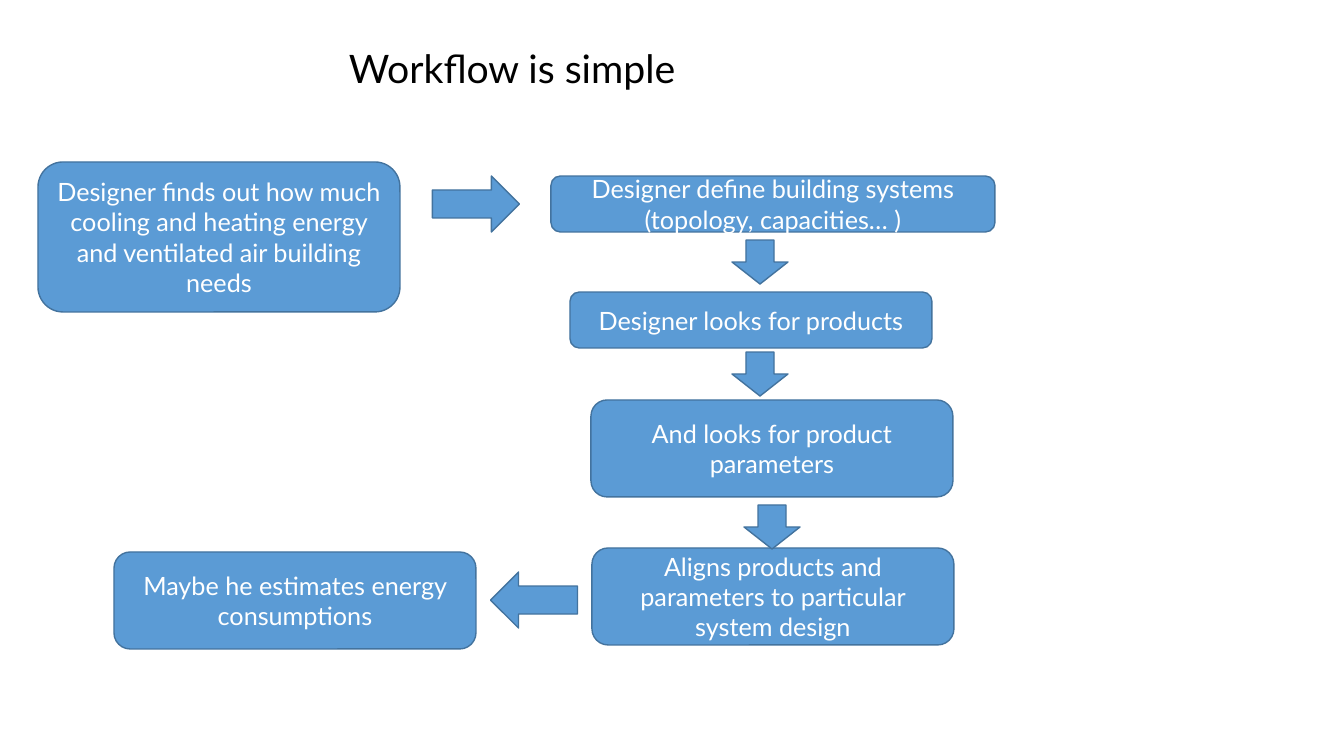
from pptx import Presentation
from pptx.dml.color import RGBColor
from pptx.enum.shapes import MSO_SHAPE
from pptx.enum.text import MSO_ANCHOR, MSO_AUTO_SIZE, PP_ALIGN
from pptx.util import Pt

ROUNDED, ARROW = MSO_SHAPE.ROUNDED_RECTANGLE, MSO_SHAPE.RIGHT_ARROW
MIDDLE, CENTER, LEFT = MSO_ANCHOR.MIDDLE, PP_ALIGN.CENTER, PP_ALIGN.LEFT
GROW = MSO_AUTO_SIZE.SHAPE_TO_FIT_TEXT

# Content: lengths in px
SLIDE_SIZE = (1344, 756)
TITLE = ("Workflow is simple", (339, 39, 377, 57))
STEP_WIDTH = 362
STEPS = [  # text, left, top, width, height
    ("Designer finds out how much cooling and heating energy and ventilated air building needs",
     38, 162, STEP_WIDTH, 150),
    ("Designer define building systems (topology, capacities… )", 551, 176, 444, 56),
    ("Designer looks for products", 570, 292, STEP_WIDTH, 56),
    ("And looks for product parameters", 591, 400, STEP_WIDTH, 97),
    ("Aligns products and parameters to particular system design", 592, 548, STEP_WIDTH, 97),
    ("Maybe he estimates energy consumptions", 114, 552, STEP_WIDTH, 97),
]
LONG, SHORT, ARROW_HEIGHT = 87, 44, 56
ARROWS = [  # center x, center y, length, rotation
    (476, 204, LONG, 0),
    (760, 262, SHORT, 90),
    (760, 374, SHORT, 90),
    (772, 527, SHORT, 90),
    (534, 600, LONG, 180),
]
FILL, OUTLINE, WHITE, BLACK = "5B9BD5", "43739E", "FFFFFF", "000000"
TITLE_FONT = {"name": "Lato", "size": Pt(28)}
STEP_FONT = {"name": "Lato", "size": Pt(18)}


def emu(px):
    return round(px * 914400 / 100.8)


def color(hex_string):
    return RGBColor.from_string(hex_string)


def write(shape, text, font_format, font_color, alignment):
    paragraph = shape.text_frame.paragraphs[0]
    paragraph.text = text
    paragraph.alignment = alignment
    for name, value in font_format.items():
        setattr(paragraph.font, name, value)
    paragraph.font.color.rgb = color(font_color)


def add_block(slide, preset, *box):
    shape = slide.shapes.add_shape(preset, *map(emu, box))
    shape.shadow.inherit = False
    shape.fill.solid()
    shape.fill.fore_color.rgb = color(FILL)
    shape.line.color.rgb = color(OUTLINE)
    shape.line.width = Pt(1)
    return shape


def main():
    presentation = Presentation()
    presentation.slide_width, presentation.slide_height = map(emu, SLIDE_SIZE)
    slide = presentation.slides.add_slide(presentation.slide_layouts[6])

    # Title
    text, box = TITLE
    title = slide.shapes.add_textbox(*map(emu, box))
    title.text_frame.word_wrap = False
    title.text_frame.auto_size = GROW
    write(title, text, TITLE_FONT, BLACK, LEFT)

    # Workflow steps
    for text, *box in STEPS:
        step = add_block(slide, ROUNDED, *box)
        step.text_frame.word_wrap = True
        step.text_frame.vertical_anchor = MIDDLE
        write(step, text, STEP_FONT, WHITE, CENTER)

    # Arrows between the steps
    for center_x, center_y, length, rotation in ARROWS:
        arrow = add_block(slide, ARROW, center_x - length / 2,
                          center_y - ARROW_HEIGHT / 2, length, ARROW_HEIGHT)
        arrow.rotation = rotation

    presentation.save("out.pptx")


if __name__ == "__main__":
    main()
